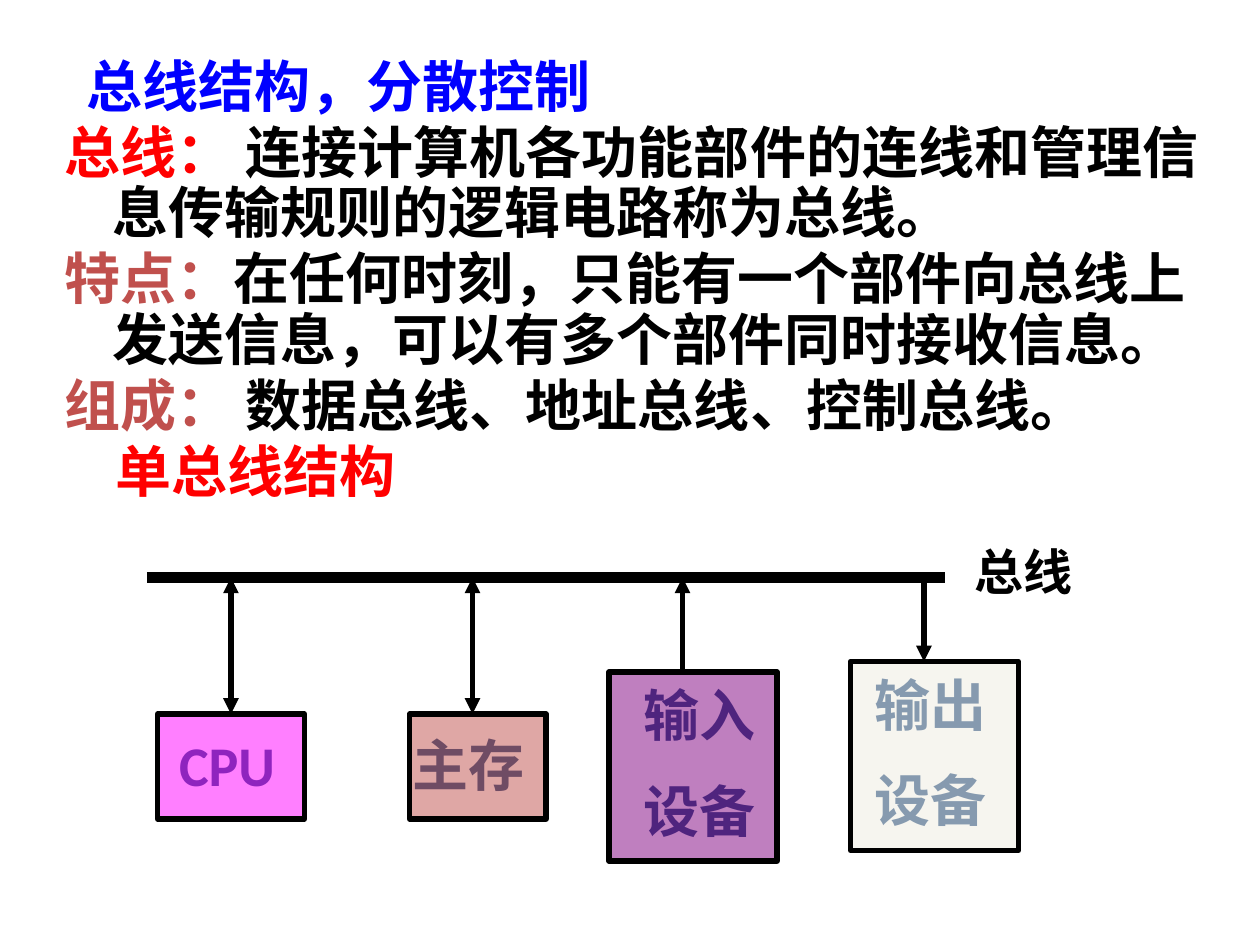
from lxml import etree
from pptx import Presentation
from pptx.dml.color import RGBColor
from pptx.enum.shapes import MSO_CONNECTOR, MSO_SHAPE
from pptx.enum.text import MSO_ANCHOR, MSO_AUTO_SIZE, PP_ALIGN
from pptx.oxml.ns import qn
from pptx.util import Pt

BLACK = RGBColor(0x00, 0x00, 0x00)
BLUE = RGBColor(0x00, 0x00, 0xFF)
RED = RGBColor(0xFF, 0x00, 0x00)
BRICK = RGBColor(0xC0, 0x50, 0x4D)
NAVY = RGBColor(0x1F, 0x49, 0x7D)
MAGENTA = RGBColor(0xFF, 0x00, 0xFF)
PURPLE = RGBColor(0x80, 0x00, 0x80)
CREAM = RGBColor(0xEE, 0xEC, 0xE1)

# Each paragraph: left margin, first-line indent, coloured runs
HANGING = (27, -27)
NOTES = [
    (12.5, 0, [("总线结构，分散控制", BLUE)]),
    (*HANGING, [("总线：", RED),
                (" 连接计算机各功能部件的连线和管理信息传输规则的逻辑电路称为总线。", BLACK)]),
    (*HANGING, [("特点：", BRICK),
                ("在任何时刻，只能有一个部件向总线上发送信息，可以有多个部件同时接收信息。", BLACK)]),
    (*HANGING, [("组成：", BRICK), (" 数据总线、地址总线、控制总线。", BLACK)]),
    (28.7, 0, [("单总线结构", RED)]),
]

BUS_Y, BUS_LEFT, BUS_RIGHT = 330, 84, 540

# lines, colour, box (left, top, width, height), label (left, top), arrow x, to bus, from bus
DEVICES = [
    (["CPU"], MAGENTA, (90, 408, 84, 60), (90, 414), 132, True, True),
    (["主存"], BRICK, (234, 408, 78, 60), (228, 414), 270, True, True),
    (["输入", "设备"], PURPLE, (348, 384, 96, 108), (360, 384), 390, True, False),
    (["输出", "设备"], CREAM, (486, 378, 96, 108), (492, 378), 528, False, True),
]
LABEL_WIDTH = 79.5
LABEL_HEIGHTS = {1: 45.5, 2: 103}


def add_text(slide, frame, paragraphs, font="Calibri", size=32, gap=16, spacing=None,
             align=PP_ALIGN.CENTER, anchor=MSO_ANCHOR.MIDDLE, wrap=True,
             auto_size=MSO_AUTO_SIZE.SHAPE_TO_FIT_TEXT):
    """Paragraphs are (left margin, first-line indent, [(text, colour), ...])."""
    text_frame = slide.shapes.add_textbox(*map(Pt, frame)).text_frame
    text_frame.word_wrap = wrap
    text_frame.auto_size = auto_size
    text_frame.vertical_anchor = anchor
    for index, (margin, indent, runs) in enumerate(paragraphs):
        paragraph = text_frame.add_paragraph() if index else text_frame.paragraphs[0]
        properties = paragraph._p.get_or_add_pPr()
        properties.set("marL", str(Pt(margin)))
        properties.set("indent", str(Pt(indent)))
        paragraph.alignment = align
        paragraph.space_before = Pt(gap if index else 0)
        if spacing:
            paragraph.line_spacing = spacing
        for text, color in runs:
            run = paragraph.add_run()
            run.text = text
            run.font.name, run.font.size, run.font.bold = font, Pt(size), True
            run.font.color.rgb = color


def add_line(slide, start, end, width, head=False, tail=False):
    line = slide.shapes.add_connector(MSO_CONNECTOR.STRAIGHT, *map(Pt, (*start, *end)))
    line.line.color.rgb = BLACK
    line.line.width = Pt(width)
    outline = line.line._get_or_add_ln()
    for tag, shown in (("a:headEnd", head), ("a:tailEnd", tail)):
        if shown:
            etree.SubElement(outline, qn(tag), type="triangle")
    etree.SubElement(line._element.spPr, qn("a:effectLst"))


def add_glass_box(slide, frame, color):
    """Half-transparent box, laid over its label."""
    box = slide.shapes.add_shape(MSO_SHAPE.RECTANGLE, *map(Pt, frame))
    box.shadow.inherit = False
    box.fill.solid()
    box.fill.fore_color.rgb = color
    solid = box._element.spPr.find(qn("a:solidFill"))
    etree.SubElement(solid[0], qn("a:alpha"), val="50000")
    box.line.color.rgb = BLACK
    box.line.width = Pt(3)


def main():
    deck = Presentation()
    deck.slide_width, deck.slide_height = Pt(720), Pt(540)
    slide = deck.slides.add_slide(deck.slide_layouts[6])

    add_text(slide, (30, 30, 672, 288), NOTES, font="Arial", gap=3.2, spacing=0.9,
             align=PP_ALIGN.LEFT, anchor=MSO_ANCHOR.TOP, auto_size=MSO_AUTO_SIZE.NONE)
    add_line(slide, (BUS_LEFT, BUS_Y), (BUS_RIGHT, BUS_Y), 6)

    for lines, color, box, label, arrow_x, to_bus, from_bus in DEVICES:
        add_text(slide, (*label, LABEL_WIDTH, LABEL_HEIGHTS[len(lines)]),
                 [(0, 0, [(line, NAVY)]) for line in lines], wrap=False)
        add_glass_box(slide, box, color)
        add_line(slide, (arrow_x, box[1]), (arrow_x, BUS_Y), 3, head=from_bus, tail=to_bus)

    add_text(slide, (BUS_RIGHT, 306, 90, 41), [(0, 0, [("总线", BLACK)])], size=28)
    deck.save("out.pptx")


if __name__ == "__main__":
    main()
